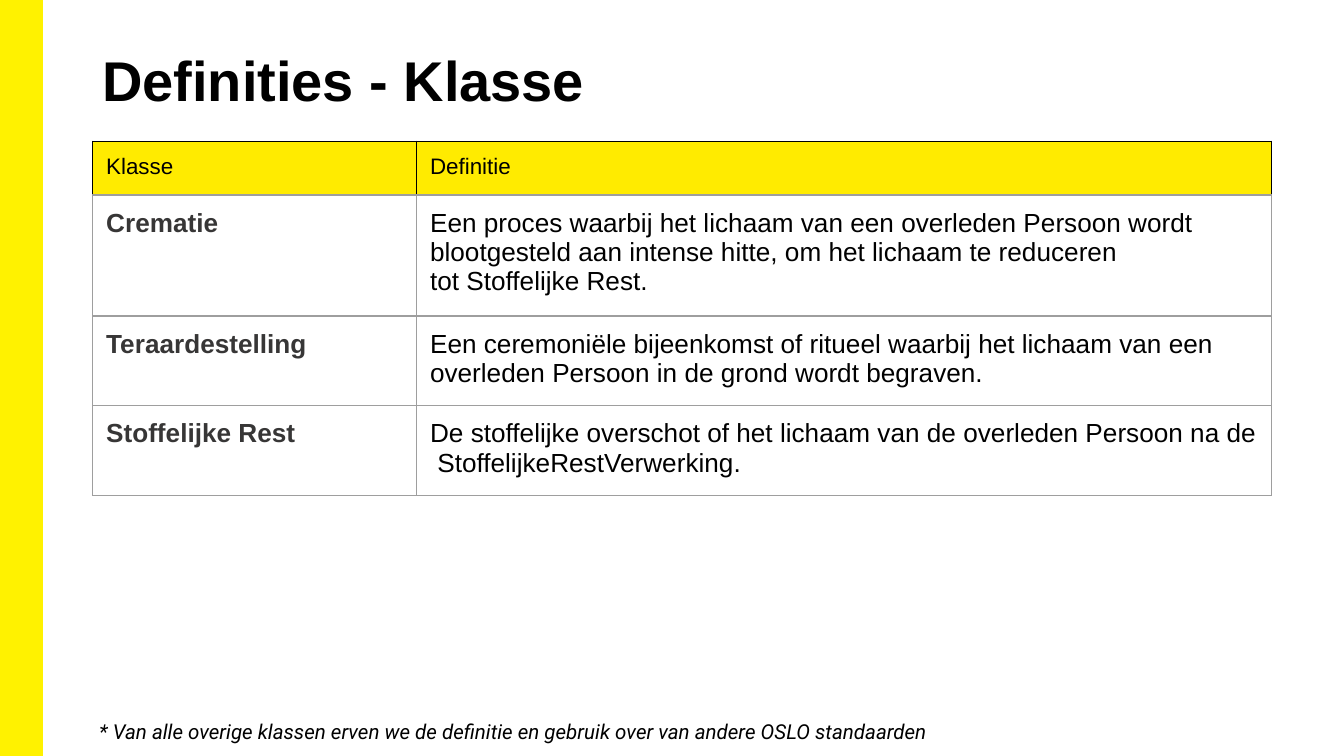
from lxml import etree
from pptx import Presentation
from pptx.dml.color import RGBColor
from pptx.enum.shapes import MSO_SHAPE
from pptx.enum.text import MSO_ANCHOR
from pptx.oxml.ns import qn
from pptx.util import Inches, Pt

RECTANGLE = MSO_SHAPE.RECTANGLE
TOP = MSO_ANCHOR.TOP

BAR_YELLOW = RGBColor(0xFF, 0xF2, 0x00)
HEADER_YELLOW = RGBColor(0xFF, 0xEB, 0x00)
WHITE = RGBColor(0xFF, 0xFF, 0xFF)
BLACK = RGBColor(0, 0, 0)
DARK_GREY = RGBColor(0x37, 0x36, 0x36)
BORDER_GREY = RGBColor(0x9E, 0x9E, 0x9E)

NBSP = chr(160)  # keeps words together on one line

TITLE = "Definities - Klasse"
FOOTNOTE = ("* Van alle overige klassen erven we de definitie en gebruik "
            "over van andere OSLO standaarden")
HEADER = ("Klasse", "Definitie")
DEFINITIONS = [
    ("Crematie",
     f"Een proces waarbij het lichaam van een{NBSP}overleden Persoon wordt "
     f"blootgesteld aan{NBSP}intense hitte, om het lichaam te reduceren "
     f"tot{NBSP}Stoffelijke Rest."),
    ("Teraardestelling",
     f"Een ceremoniële bijeenkomst of ritueel waarbij{NBSP}het lichaam van een "
     f"overleden Persoon in de{NBSP}grond wordt begraven."),
    ("Stoffelijke Rest",
     "De stoffelijke overschot of het lichaam van de overleden Persoon na de "
     "StoffelijkeRestVerwerking.".replace(" ", NBSP)),
]

SLIDE_WIDTH = 10
SLIDE_HEIGHT = SLIDE_WIDTH * 9 / 16
TABLE_LEFT, TABLE_TOP = 0.69, 1.05
COLUMN_WIDTHS = (2.41, 6.36)
ROW_HEIGHTS = (0.4, 0.9, 0.66, 0.67)
CELL_MARGIN = 0.1


def add_span(frame, text, size, color=BLACK, font="Arial", bold=False, italic=False):
    span = frame.paragraphs[0].add_run()
    span.text = text
    span.font.name = font
    span.font.size = Pt(size)
    span.font.bold = bold
    span.font.italic = italic
    span.font.color.rgb = color


def set_margins(target, horizontal, vertical):
    target.margin_left = target.margin_right = Inches(horizontal)
    target.margin_top = target.margin_bottom = Inches(vertical)


def add_text_box(page, area, margins, text, size, **style):
    box = page.shapes.add_textbox(*(Inches(length) for length in area))
    frame = box.text_frame
    frame.word_wrap = True
    frame.vertical_anchor = TOP
    set_margins(frame, *margins)
    add_span(frame, text, size, **style)


def set_borders(cell, colors):
    """Draw the left, right, top and bottom borders in the given colours."""
    properties = cell._tc.get_or_add_tcPr()
    for index, (side, color) in enumerate(zip("LRTB", colors)):
        line = etree.Element(qn(f"a:ln{side}"), w=str(Pt(0.75)))
        fill = etree.SubElement(line, qn("a:solidFill"))
        etree.SubElement(fill, qn("a:srgbClr"), val=str(color))
        properties.insert(index, line)


def add_definition_table(page):
    rows = [HEADER] + DEFINITIONS
    table = page.shapes.add_table(
        len(rows), len(HEADER), Inches(TABLE_LEFT), Inches(TABLE_TOP),
        Inches(sum(COLUMN_WIDTHS)), Inches(sum(ROW_HEIGHTS))).table
    for column, width in zip(table.columns, COLUMN_WIDTHS):
        column.width = Inches(width)
    for row, height in zip(table.rows, ROW_HEIGHTS):
        row.height = Inches(height)
    for row_index, texts in enumerate(rows):
        is_header = row_index == 0
        for column_index, text in enumerate(texts):
            is_term = not is_header and column_index == 0
            cell = table.cell(row_index, column_index)
            set_margins(cell, CELL_MARGIN, CELL_MARGIN)
            cell.vertical_anchor = TOP
            cell.fill.solid()
            cell.fill.fore_color.rgb = HEADER_YELLOW if is_header else WHITE
            edge = BLACK if is_header else BORDER_GREY
            top_edge = BLACK if is_header else BORDER_GREY
            set_borders(cell, (edge, edge, top_edge, BORDER_GREY))
            add_span(cell.text_frame, text, 12 if is_header else 14,
                     color=DARK_GREY if is_term else BLACK, bold=is_term)


def add_side_bar(page):
    bar = page.shapes.add_shape(RECTANGLE, 0, 0, Inches(0.31), Inches(SLIDE_HEIGHT))
    bar.shadow.inherit = False
    bar.fill.solid()
    bar.fill.fore_color.rgb = BAR_YELLOW
    bar.line.color.rgb = BAR_YELLOW
    bar.line.width = Pt(1)


deck = Presentation()
deck.slide_width = Inches(SLIDE_WIDTH)
deck.slide_height = Inches(SLIDE_HEIGHT)
page = deck.slides.add_slide(deck.slide_layouts[6])

add_side_bar(page)
add_text_box(page, (TABLE_LEFT, 0.3, 8.69, 0.81), (0.07, 0.04), TITLE, 30, bold=True)
add_definition_table(page)
add_text_box(page, (0.64, 5.26, 7.17, 0.39), (0.1, 0.1), FOOTNOTE, 11,
             font="Roboto", italic=True)

deck.save("out.pptx")
